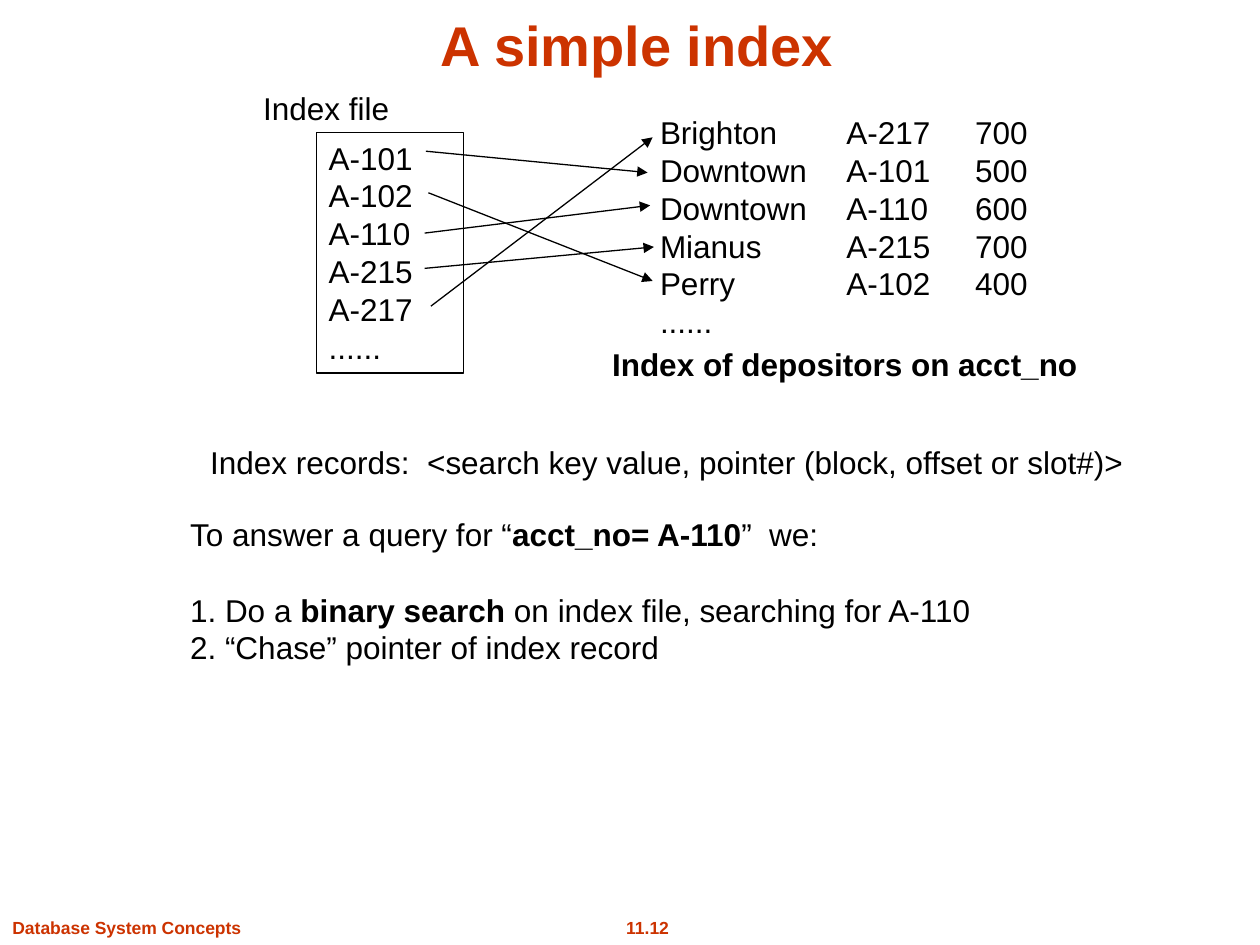
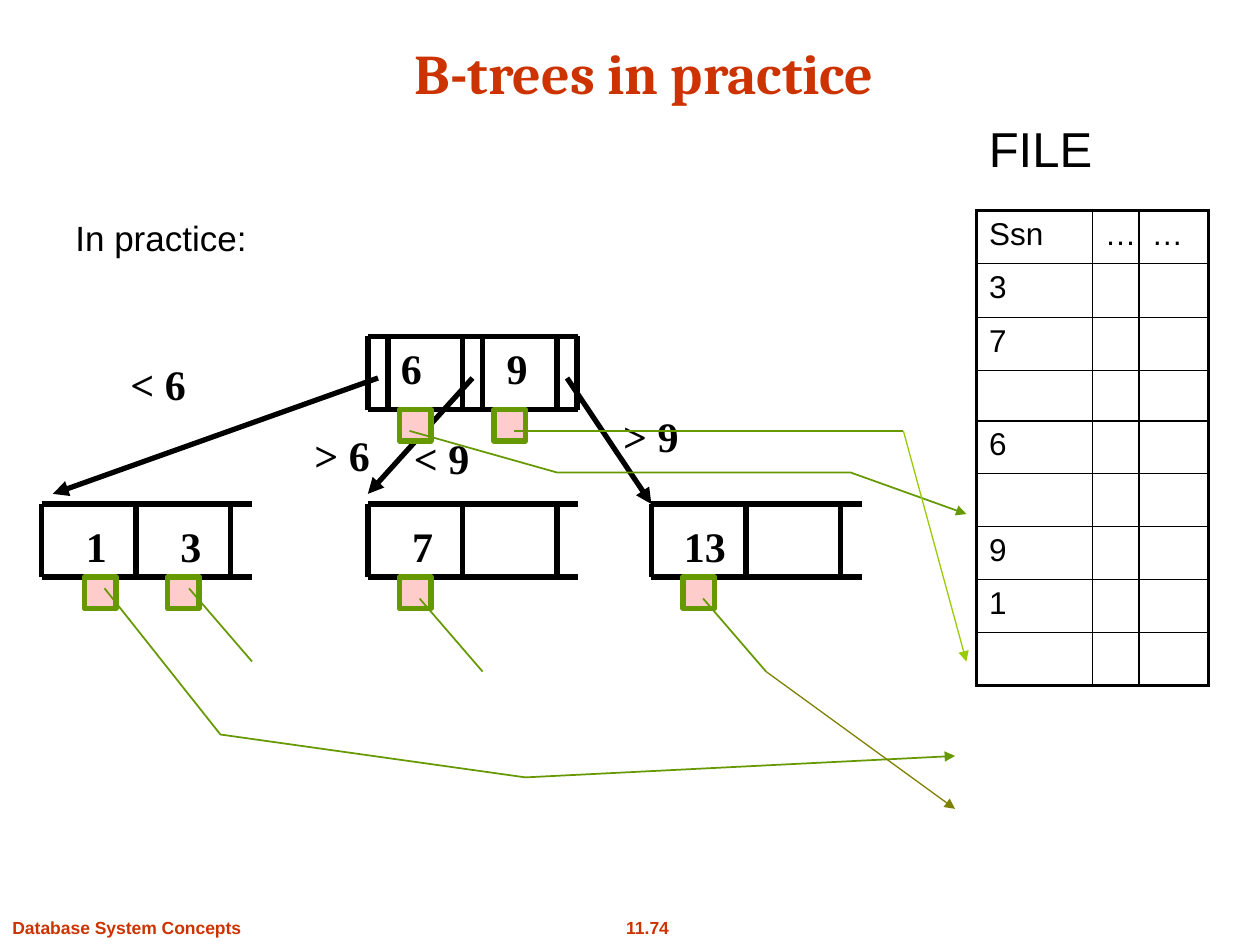
from lxml import etree
from pptx import Presentation
from pptx.dml import color
from pptx.enum import shapes, text
from pptx.oxml import ns
from pptx.util import Inches, Pt

BLACK = "000000"
RED = "CC3300"
GREEN = "669900"
LIME = "99CC00"
OLIVE = "808000"
PINK = "FFCCCC"
SANS = "Arial"
SERIF = "Times New Roman"
LEFT, CENTER = text.PP_ALIGN.LEFT, text.PP_ALIGN.CENTER
NODE_HEIGHT = 0.58
KEY_STEP = 0.75
NODE_WIDTH = 1.67
GAP = 0.16
MARKER = 0.25


def rgb(value):
    """Turn a hex string into a colour."""
    return color.RGBColor.from_string(value)


def add_xml(parent, tag, **attributes):
    """Append a DrawingML child to an element."""
    return etree.SubElement(parent, ns.qn(tag), attributes)


def write(frame, paragraphs, size=18, font=SANS, colour=BLACK, bold=False,
          align=LEFT, tabs=(), before=None):
    """Fill a frame; a paragraph is a string or a list of (text, bold) runs.

    tabs holds tab stops in inches, before maps paragraph index to points above.
    """
    for index, content in enumerate(paragraphs):
        paragraph = frame.paragraphs[0] if index == 0 else frame.add_paragraph()
        paragraph.alignment = align
        if before and index in before:
            paragraph.space_before = Pt(before[index])
        if tabs:
            tab_list = add_xml(paragraph._p.get_or_add_pPr(), "a:tabLst")
            for stop in tabs:
                add_xml(tab_list, "a:tab", pos=str(Inches(stop)), algn="l")
        runs = [(content, bold)] if isinstance(content, str) else content
        for words, is_bold in runs:
            run = paragraph.add_run()
            run.text = words
            run.font.size = Pt(size)
            run.font.name = font
            run.font.bold = is_bold
            run.font.color.rgb = rgb(colour)


def add_text(slide, box, *paragraphs, wrap=False, **style):
    """Add a text box at (left, top, width, height)."""
    shape = slide.shapes.add_textbox(*map(Inches, box))
    shape.text_frame.word_wrap = wrap
    write(shape.text_frame, paragraphs, **style)


def add_box(slide, box, fill=None, line=BLACK, width=0.75):
    """Add an outlined rectangle, filled if a colour is given."""
    shape = slide.shapes.add_shape(shapes.MSO_SHAPE.RECTANGLE, *map(Inches, box))
    shape.shadow.inherit = False
    if fill:
        shape.fill.solid()
        shape.fill.fore_color.rgb = rgb(fill)
    else:
        shape.fill.background()
    shape.line.color.rgb = rgb(line)
    shape.line.width = Pt(width)
    return shape


def style_line(shape, colour, width, arrow):
    """Set a line's colour, width and optional arrowhead at its end."""
    shape.line.color.rgb = rgb(colour)
    shape.line.width = Pt(width)
    if arrow:
        outline = shape.element.spPr.find(ns.qn("a:ln"))
        add_xml(outline, "a:tailEnd", type="triangle")


def add_line(slide, start, end, colour=BLACK, width=0.75, arrow=False):
    """Add a straight line between two points."""
    connector = slide.shapes.add_connector(
        shapes.MSO_CONNECTOR.STRAIGHT, *map(Inches, start + end))
    style_line(connector, colour, width, arrow)
    add_xml(connector.element.spPr, "a:effectLst")


def add_path(slide, points, colour=GREEN, width=1):
    """Add an open bent line that ends in an arrowhead."""
    corners = [tuple(map(Inches, point)) for point in points]
    builder = slide.shapes.build_freeform(*corners[0])
    builder.add_line_segments(corners[1:], close=False)
    shape = builder.convert_to_shape()
    shape.shadow.inherit = False
    shape.fill.background()
    style_line(shape, colour, width, True)


def add_slide(presentation, title, number, left, top, font=SANS):
    """Add a slide with its title and the shared footer."""
    slide = presentation.slides.add_slide(presentation.slide_layouts[5])
    shape = slide.shapes.title
    shape.left, shape.top = Inches(left), Inches(top)
    shape.width, shape.height = Inches(8.83), Inches(0.67)
    frame = shape.text_frame
    frame.auto_size = text.MSO_AUTO_SIZE.NONE
    frame.vertical_anchor = text.MSO_ANCHOR.BOTTOM
    write(frame, [title], size=32, font=font, colour=RED, bold=True, align=CENTER)
    footer = dict(size=10, colour=RED, bold=True)
    add_text(slide, (4.86, 7.23, 0.56, 0.27), number, align=CENTER, **footer)
    add_text(slide, (0, 7.23, 2.02, 0.27), "Database System Concepts", **footer)
    return slide


def add_node(slide, left, top, dividers):
    """Draw a tree node: two rails and a divider at each offset."""
    bottom = top + NODE_HEIGHT
    for offset in dividers:
        add_line(slide, (left + offset, top), (left + offset, bottom), width=3)
    for rail in (top, bottom):
        add_line(slide, (left, rail), (left + NODE_WIDTH, rail), width=3)


def add_label(slide, left, top, words, width=0.37):
    """Add a bold serif key or condition of the tree."""
    add_text(slide, (left, top, width, 0.5), words, size=24, font=SERIF,
             bold=True, align=CENTER)


def set_borders(cell, widths):
    """Set left, right, top and bottom border widths of a cell."""
    properties = cell._tc.get_or_add_tcPr()
    for position, (side, width) in enumerate(zip("LRTB", widths)):
        border = etree.Element(ns.qn("a:ln" + side), w=str(Pt(width)))
        fill = add_xml(border, "a:solidFill")
        add_xml(fill, "a:srgbClr", val=BLACK)
        properties.insert(position, border)


def add_file_table(slide, box, columns, heights, rows):
    """Add the data file as a grid with a heavier outer frame."""
    table = slide.shapes.add_table(
        len(rows), len(columns), *map(Inches, box)).table
    table.first_row = table.horz_banding = False
    for column, width in zip(table.columns, columns):
        column.width = Inches(width)
    for row, height in zip(table.rows, heights):
        row.height = Inches(height)
    last_row, last_column = len(rows) - 1, len(columns) - 1
    for r, values in enumerate(rows):
        for c, value in enumerate(values):
            cell = table.cell(r, c)
            cell.fill.background()
            edges = (c == 0, c == last_column, r == 0, r == last_row)
            set_borders(cell, [2.25 if outer else 1 for outer in edges])
            if value:
                write(cell.text_frame, [value])


def build_index_slide(presentation):
    """Build the slide on a simple index."""
    slide = add_slide(presentation, "A simple index", "11.12", 0.64, 0)
    add_text(slide, (5.14, 0.85, 3.14, 1.9),
             "Brighton\tA-217\t700", "Downtown\tA-101\t500",
             "Downtown\tA-110\t600", "Mianus\tA-215\t700",
             "Perry\tA-102\t400", "......", wrap=True, tabs=(1.48, 2.5))
    index_file = add_box(slide, (2.51, 1.05, 1.17, 1.91))
    index_file.text_frame.vertical_anchor = text.MSO_ANCHOR.TOP
    write(index_file.text_frame,
          ["A-101", "A-102", "A-110", "A-215", "A-217", "......"])
    pointers = [((3.38, 1.2), (5.14, 1.37)), ((3.4, 1.53), (5.18, 2.23)),
                ((3.37, 1.85), (5.16, 1.63)), ((3.37, 2.13), (5.19, 1.96)),
                ((3.42, 2.43), (5.18, 1.09))]
    for start, end in pointers:
        add_line(slide, start, end, arrow=True)
    add_text(slide, (4.76, 2.69, 3.9, 0.4), "Index of depositors on acct_no",
             bold=True)
    add_text(slide, (1.57, 3.47, 7.45, 0.4),
             "Index records:  <search key value, pointer (block, offset or slot#)>")
    add_text(slide, (1.41, 4.04, 6.42, 1.3),
             [("To answer a query for “", False), ("acct_no= A-110", True),
              ("”  we:", False)],
             [("1. Do a ", False), ("binary search", True),
              (" on index file, searching for A-110", False)],
             "2. “Chase” pointer of index record", before={1: 21.5})
    add_text(slide, (1.99, 0.66, 1.2, 0.4), "Index file")


def build_tree_slide(presentation):
    """Build the slide on B-trees and their pointers into the file."""
    slide = add_slide(presentation, "B-trees in practice", "11.74", 0.7, 0.22,
                      font="Cambria")
    add_text(slide, (0.5, 1.67, 3.5, 0.83), "In practice: ", size=20, wrap=True)

    root_top, leaf_top = 2.67, 4
    key_dividers = [KEY_STEP * i for i in range(3)]
    root_dividers = [x + extra for x in key_dividers for extra in (0, GAP)]
    add_node(slide, 2.92, root_top, root_dividers)
    for left in (5.17, 2.92, 0.33):
        add_node(slide, left, leaf_top, key_dividers)
    for i, child in enumerate([(0.42, 3.92), (2.92, 3.92), (5.17, 4)]):
        add_line(slide, (3 + KEY_STEP * i, 3), child, width=3, arrow=True)

    for left, key in ((3.08, "6"), (3.92, "9")):
        add_label(slide, left, root_top, key)
    for left, key in ((0.58, "1"), (1.33, "3"), (3.17, "7")):
        add_label(slide, left, 4.08, key)
    add_label(slide, 5.33, 4.08, "13", 0.53)
    for left, top, condition in ((0.93, 2.8, "< 6"), (2.39, 3.36, "> 6"),
                                 (3.18, 3.38, "< 9"), (4.84, 3.21, "> 9")):
        add_label(slide, left, top, condition, 0.65)

    markers = {root_top: (3.92, 3.17), leaf_top: (0.67, 1.33, 5.42, 3.17)}
    for top, lefts in markers.items():
        for left in lefts:
            add_box(slide, (left, top + NODE_HEIGHT, MARKER, MARKER),
                    PINK, GREEN, 3)

    blank = ["", "", ""]
    rows = [["Ssn", "…", "…"], ["3", "", ""], ["7", "", ""], blank,
            ["6", "", ""], blank, ["9", "", ""], ["1", "", ""], blank]
    heights = [0.42, 0.43, 0.42, 0.39] + [0.42] * 5
    add_file_table(slide, (7.75, 1.67, 1.84, 3.78), (0.92, 0.37, 0.55),
                   heights, rows)

    add_path(slide, [(0.83, 4.67), (1.75, 5.83), (4.17, 6.17), (7.58, 6)])
    add_path(slide, [(3.25, 3.42), (4.42, 3.75), (6.75, 3.75), (7.67, 4.08)])
    for start, end in (((1.5, 4.67), (2, 5.25)), ((4.08, 3.42), (7.17, 3.42)),
                       ((3.33, 4.75), (3.83, 5.33)),
                       ((5.58, 4.75), (6.08, 5.33))):
        add_line(slide, start, end, GREEN, 1)
    add_line(slide, (7.17, 3.42), (7.67, 5.25), LIME, arrow=True)
    add_line(slide, (6.08, 5.33), (7.58, 6.42), OLIVE, arrow=True)
    add_text(slide, (7.75, 0.89, 1.03, 0.57), "FILE", size=28)


def main():
    """Build and save the presentation."""
    presentation = Presentation()
    presentation.slide_width = Inches(10)
    presentation.slide_height = Inches(7.5)
    build_index_slide(presentation)
    build_tree_slide(presentation)
    presentation.save("out.pptx")


main()
